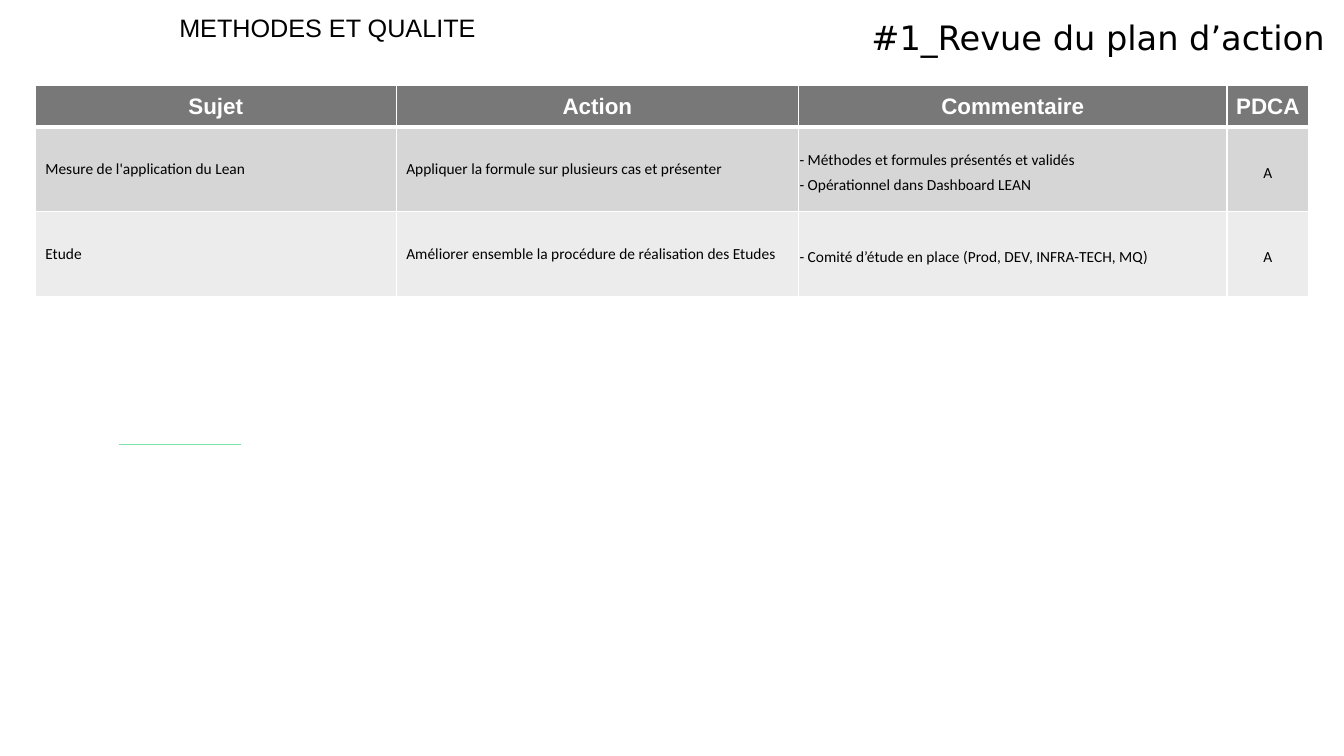
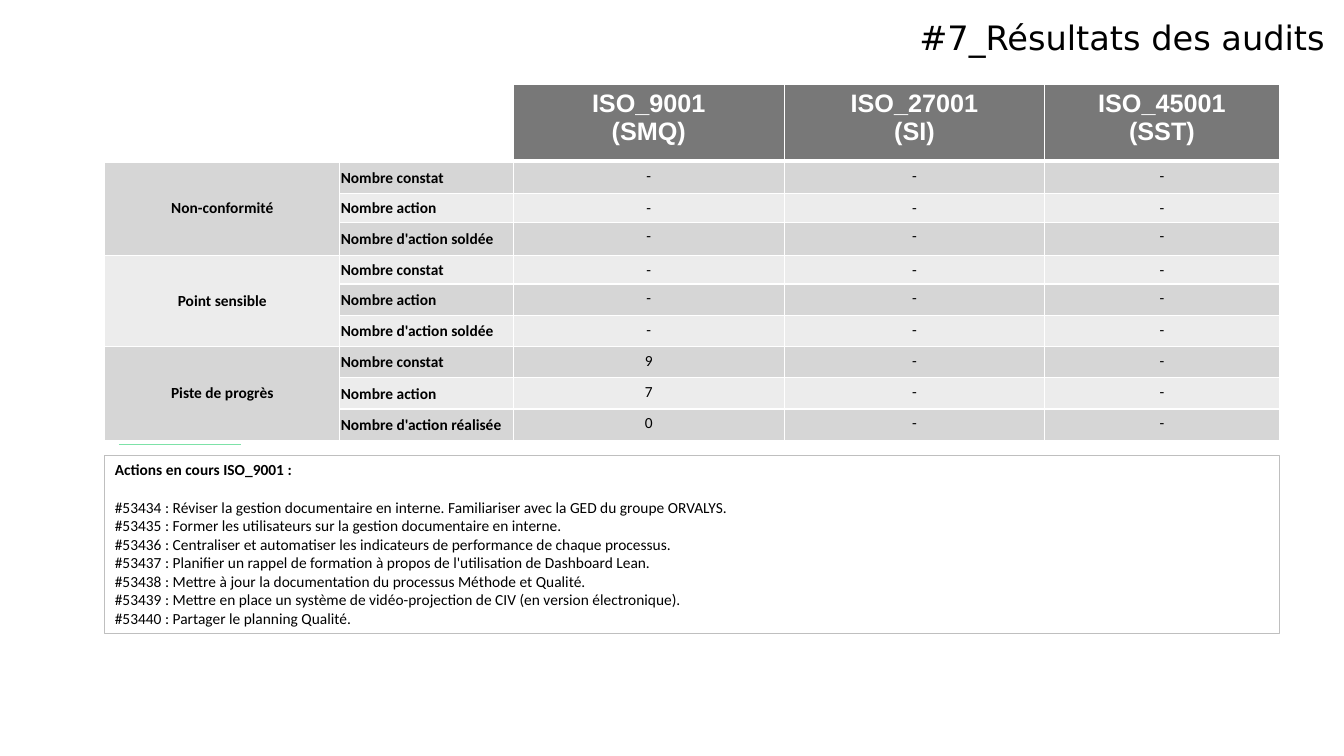
from lxml import etree
from pptx import Presentation
from pptx.dml.color import RGBColor
from pptx.enum.shapes import MSO_CONNECTOR, MSO_SHAPE
from pptx.enum.text import MSO_ANCHOR, PP_ALIGN
from pptx.oxml.ns import qn
from pptx.util import Inches, Pt

LEFT, CENTER, RIGHT = PP_ALIGN.LEFT, PP_ALIGN.CENTER, PP_ALIGN.RIGHT
TOP, MIDDLE = MSO_ANCHOR.TOP, MSO_ANCHOR.MIDDLE
BLACK = RGBColor(0x00, 0x00, 0x00)
WHITE = RGBColor(0xFF, 0xFF, 0xFF)
HEADER = RGBColor(0x78, 0x78, 0x78)
BANDS = [RGBColor(0xD6, 0xD6, 0xD6), RGBColor(0xEC, 0xEC, 0xEC)]
GREEN = RGBColor(0x7D, 0xE2, 0xA8)
FRAME = RGBColor(0xBF, 0xBF, 0xBF)

prs = Presentation()
prs.slide_width, prs.slide_height = Inches(13.33), Inches(7.5)


def add_slide(title, left, top, cols, rows):
    """Slide with the shared accent line and title, plus an empty table."""
    s = prs.slides.add_slide(prs.slide_layouts[6])
    line = s.shapes.add_connector(MSO_CONNECTOR.STRAIGHT, Inches(1.18), Inches(4.41),
                                  Inches(2.39), Inches(4.41))
    line.line.color.rgb = GREEN
    line.line.width = Pt(1.25)
    etree.SubElement(line._element.spPr, qn("a:effectLst"))

    tf = s.shapes.add_textbox(Inches(2.07), 0, Inches(11.07), Inches(0.69)).text_frame
    tf.word_wrap = True
    tf.margin_left = tf.margin_right = tf.margin_bottom = 0
    tf.margin_top = Inches(0.21)
    p = tf.paragraphs[0]
    p.text = title
    p.alignment = RIGHT
    p.line_spacing = 0.9
    font = p.runs[0].font
    font.size, font.name, font.color.rgb = Pt(24), "DejaVu Sans", BLACK

    table = s.shapes.add_table(len(rows), len(cols), Inches(left), Inches(top),
                               Inches(sum(cols)), Inches(sum(rows))).table
    table.horz_banding = False
    for col, width in zip(table.columns, cols):
        col.width = Inches(width)
    for row, height in zip(table.rows, rows):
        row.height = Inches(height)
    return s, table


def fill_cell(table, row, col, text, fill, size=11, bold=False, align=LEFT,
              anchor=MIDDLE, tight=False, spacing=None):
    """Write one cell: white borders, fill, margins and text."""
    cell = table.cell(row, col)
    tcPr = cell._tc.get_or_add_tcPr()
    for side in "LRTB":
        thick = (row, side) in ((0, "B"), (1, "T"))
        ln = etree.SubElement(tcPr, qn("a:ln" + side), w=str(Pt(3 if thick else 1)))
        solid = etree.SubElement(ln, qn("a:solidFill"))
        etree.SubElement(solid, qn("a:srgbClr"), val=str(WHITE))
    if fill is None:
        cell.fill.background()
    else:
        cell.fill.solid()
        cell.fill.fore_color.rgb = fill
    cell.vertical_anchor = anchor
    if tight:
        cell.margin_left = cell.margin_right = cell.margin_top = Inches(0.01)
        cell.margin_bottom = 0
    cell.text_frame.text = text
    for p in cell.text_frame.paragraphs:
        p.alignment = align
        if spacing:
            p.line_spacing = spacing
        for r in p.runs:
            r.font.size, r.font.bold = Pt(size), bold
            r.font.name = "Arial" if row == 0 else "Calibri"
            r.font.color.rgb = WHITE if row == 0 else BLACK


# Slide 1: action plan review
s, table = add_slide("#1_Revue du plan d’action", 0.35, 0.85,
                     [3.58, 3.99, 4.25, 0.81], [0.41, 0.84, 0.84])
for col, text in enumerate(["Sujet", "Action", "Commentaire", "PDCA"]):
    fill_cell(table, 0, col, text, HEADER, 16, True, CENTER, tight=True)
plan = [
    ["Mesure de l'application du Lean",
     "Appliquer la formule sur plusieurs cas et présenter",
     "- Méthodes et formules présentés et validés\n- Opérationnel dans Dashboard LEAN",
     "A"],
    ["Etude",
     "Améliorer ensemble la procédure de réalisation des Etudes",
     "- Comité d’étude en place (Prod, DEV, INFRA-TECH, MQ)",
     "A"],
]
for row, texts in enumerate(plan, 1):
    for col, text in enumerate(texts):
        fill_cell(table, row, col, text, BANDS[row - 1],
                  align=CENTER if col == 3 else LEFT,
                  tight=col >= 2, spacing=Pt(18) if col >= 2 else None)

# Department name
tf = s.shapes.add_textbox(Inches(1.68), Inches(0.07), Inches(3.86), Inches(0.4)).text_frame
tf.word_wrap = True
tf.text = "METHODES ET QUALITE"
font = tf.paragraphs[0].runs[0].font
font.size, font.name, font.color.rgb = Pt(18), "Arial", BLACK

# Slide 2: audit results
s, table = add_slide("#7_Résultats des audits", 1.04, 0.84,
                     [2.33, 1.72, 2.69, 2.58, 2.33],
                     [0.76, 0.32, 0.26, 0.33, 0.27] + [0.31] * 5)
heads = ["", "", "ISO_9001\n(SMQ)", "ISO_27001\n(SI)", "ISO_45001\n(SST)"]
for col, text in enumerate(heads):
    fill_cell(table, 0, col, text, HEADER if text else None, 18, True, CENTER, TOP)

# Each finding type spans three rows: label and the three ISO results
audits = [
    ("Non-conformité", [("Nombre constat", "---"), ("Nombre action", "---"),
                        ("Nombre d'action soldée", "---")]),
    ("Point sensible", [("Nombre constat", "---"), ("Nombre action", "---"),
                        ("Nombre d'action soldée", "---")]),
    ("Piste de progrès", [("Nombre constat", "9--"), ("Nombre action", "7--"),
                          ("Nombre d'action réalisée", "0--")]),
]
for group, (finding, measures) in enumerate(audits):
    first = 1 + 3 * group
    table.cell(first, 0).merge(table.cell(first + 2, 0))
    for row, (label, results) in enumerate(measures, first):
        band = BANDS[(row - 1) % 2]
        fill_cell(table, row, 0, finding if row == first else "", BANDS[group % 2],
                  bold=True, align=CENTER)
        fill_cell(table, row, 1, label, band, bold=True, tight=True)
        for col, result in enumerate(results, 2):
            fill_cell(table, row, col, result, band, align=CENTER, anchor=TOP)

# Framed list of current actions
sp = s.shapes.add_shape(MSO_SHAPE.RECTANGLE, Inches(1.04), Inches(4.52),
                        Inches(11.65), Inches(1.77))
sp.shadow.inherit = False
sp.fill.background()
sp.line.color.rgb = FRAME
sp.line.width = Pt(0.75)
tf = sp.text_frame
tf.word_wrap = True
tf.vertical_anchor = TOP
tf.text = "\n".join([
    "Actions en cours ISO_9001 :",
    "#53434 : Réviser la gestion documentaire en interne. Familiariser avec la GED du groupe ORVALYS.",
    "#53435 : Former les utilisateurs sur la gestion documentaire en interne.",
    "#53436 : Centraliser et automatiser les indicateurs de performance de chaque processus.",
    "#53437 : Planifier un rappel de formation à propos de l'utilisation de Dashboard Lean.",
    "#53438 : Mettre à jour la documentation du processus Méthode et Qualité.",
    "#53439 : Mettre en place un système de vidéo-projection de CIV (en version électronique).",
    "#53440 : Partager le planning Qualité.",
])
for i, p in enumerate(tf.paragraphs):
    p.alignment = LEFT
    font = p.runs[0].font
    font.size, font.name, font.color.rgb = Pt(11), "Calibri", BLACK
    font.bold = i == 0
tf.paragraphs[0].space_after = Pt(13.4)

prs.save("out.pptx")
